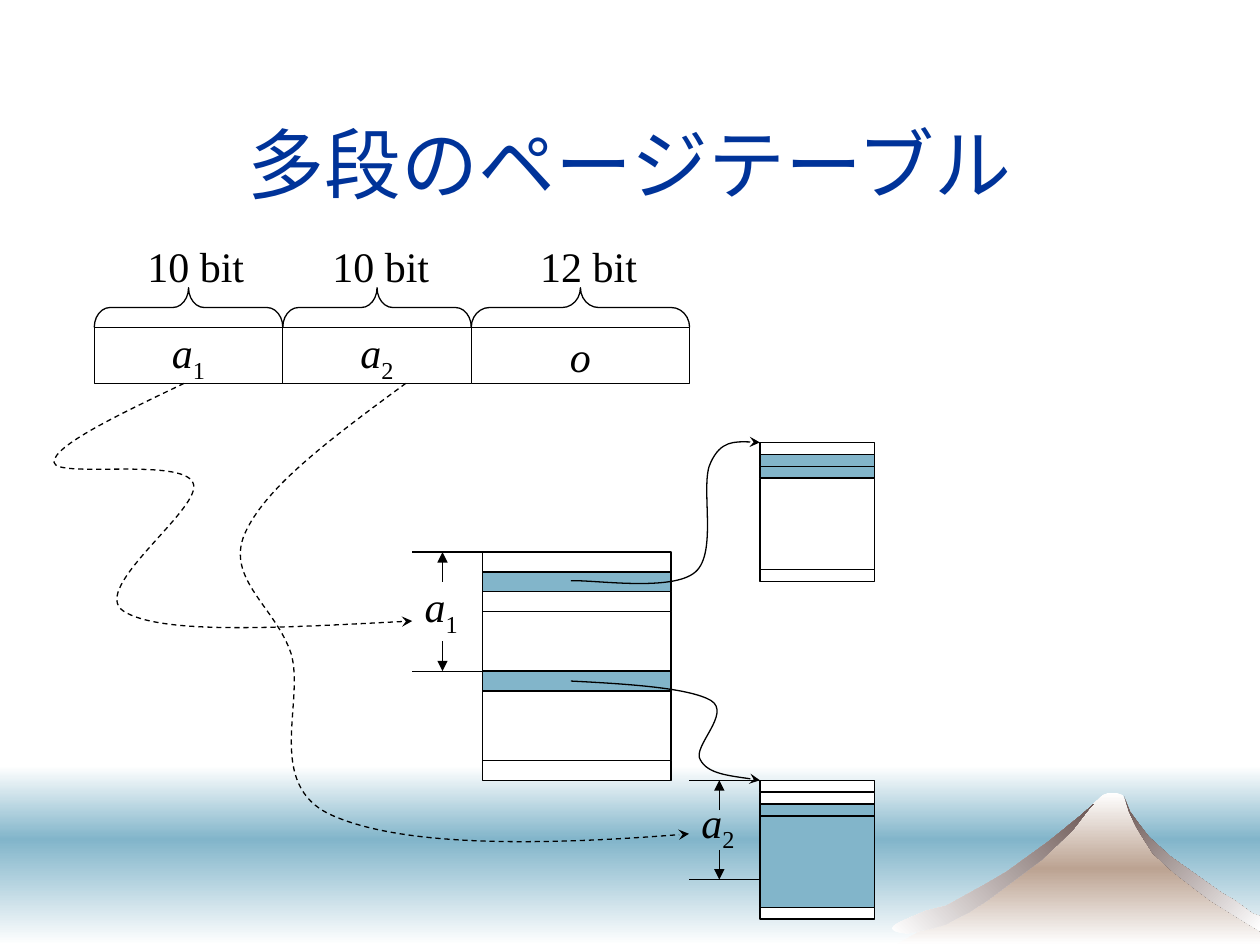
"""Build a slide on multi-level page tables."""
from lxml import etree
from pptx import Presentation
from pptx.dml.color import RGBColor
from pptx.enum.dml import MSO_LINE
from pptx.enum.shapes import MSO_CONNECTOR, MSO_SHAPE
from pptx.enum.text import MSO_ANCHOR, MSO_AUTO_SIZE, PP_ALIGN
from pptx.oxml.ns import qn
from pptx.util import Cm, Pt

RECTANGLE, BRACE = MSO_SHAPE.RECTANGLE, MSO_SHAPE.LEFT_BRACE
STRAIGHT, DASH = MSO_CONNECTOR.STRAIGHT, MSO_LINE.DASH
CENTER, LEFT, MIDDLE = PP_ALIGN.CENTER, PP_ALIGN.LEFT, MSO_ANCHOR.MIDDLE
FIT = MSO_AUTO_SIZE.SHAPE_TO_FIT_TEXT

FONT = "Times New Roman"
WHITE, BLUE, BLACK, NAVY = "FFFFFF", "82B5CA", "000000", "003399"
TAN, BROWN = "BCA392", "6B5653"

TITLE = "多段のページテーブル"
SKY = [(15.44, 1.48, [WHITE, BLUE]), (16.92, 2.13, [BLUE, WHITE])]
MOUNTAIN = [
    ([WHITE, TAN, WHITE], 90, [
        (18.06, 19.05), (20.07, 17.91), (21.34, 16.92), (22.07, 16.18), (22.23, 16.03),
        (22.35, 15.98), (22.5, 15.98), (22.63, 16.03), (22.94, 16.69), (23.42, 17.27),
        (24.59, 18.08), (25.4, 18.62), (25.4, 19.05)]),
    ([BROWN, WHITE], 45, [
        (23.24, 17.2), (23.65, 17.58), (24.08, 17.91), (24.41, 18.16), (25.15, 18.62),
        (25.4, 18.77), (25.4, 18.47), (25.25, 18.42), (24.87, 18.14), (24.64, 18.01),
        (23.6, 17.27), (23.16, 16.87), (22.96, 16.61), (22.78, 16.36), (22.66, 16.05),
        (22.76, 16.36), (22.89, 16.64), (23.04, 16.89)]),
    ([WHITE, BROWN], 315, [
        (21.13, 16.97), (20.29, 17.58), (19.86, 17.83), (19.08, 18.26), (18.67, 18.36),
        (18.29, 18.52), (18.08, 18.62), (18.01, 18.67), (17.98, 18.72), (18.03, 18.77),
        (18.14, 18.8), (18.29, 18.82), (18.54, 18.77), (18.77, 18.72), (19.05, 18.64),
        (19.53, 18.39), (19.89, 18.16), (21.01, 17.32), (21.62, 16.74), (21.95, 16.31),
        (22.05, 16.21), (21.74, 16.48)]),
]
ADDRESS_LEFT, ADDRESS_TOP, ADDRESS_HEIGHT, BRACE_HEIGHT = 1.9, 6.6, 1.14, 0.8
FIELDS = [("a", "1", 3.8, "10 bit", 2.72), ("a", "2", 3.8, "10 bit", 6.45),
          ("o", "", 4.4, "12 bit", 10.64)]
TABLES = [
    (9.73, 11.13, 3.8, [(0.4, WHITE), (0.4, BLUE), (0.4, WHITE), (3.0, WHITE), (0.4, WHITE)]),
    (15.32, 8.92, 2.31, [(0.24, WHITE), (0.24, BLUE), (0.24, BLUE), (1.84, WHITE), (0.24, WHITE)]),
    (15.32, 15.73, 2.31, [(0.24, WHITE), (0.24, WHITE), (0.24, BLUE), (1.84, BLUE), (0.24, WHITE)]),
]
SELECTED_ENTRY = (9.73, 13.53, 3.8, 0.4)
OFFSETS = [("1", 8.31, 9.73, 8.92, 11.13, 13.53, 0.6, 11.58),
           ("2", 13.89, 15.3, 14.5, 15.73, 17.73, 0.6, 15.93)]
POINTERS = [
    (None, [(11.51, 11.71), (11.94, 11.68), (13.56, 11.94), (14.02, 11.53), (14.48, 11.13),
            (14.1, 9.75), (14.33, 9.32), (14.53, 8.89), (14.91, 8.89), (15.32, 8.92)]),
    (None, [(11.51, 13.73), (12.7, 13.79), (13.89, 13.87), (14.33, 14.12), (14.76, 14.38),
            (13.94, 15.06), (14.12, 15.32), (14.27, 15.6), (14.81, 15.65), (15.32, 15.73)]),
    (DASH, [(3.71, 7.73), (2.39, 8.36), (1.07, 8.99), (1.09, 9.32), (1.12, 9.65),
            (3.66, 9.22), (3.89, 9.73), (4.14, 10.21), (1.78, 11.86), (2.49, 12.32),
            (3.23, 12.8), (5.77, 12.65), (8.31, 12.52)]),
    (DASH, [(8.18, 7.73), (6.53, 8.94), (5.33, 9.86), (4.93, 10.77), (4.55, 11.68),
            (5.56, 12.24), (5.87, 13.18), (6.15, 14.15), (5.33, 15.82), (6.68, 16.43),
            (8.03, 17.04), (10.74, 17.07), (13.89, 16.81)]),
]


def color(value):
    return RGBColor.from_string(value)


def set_line(line, arrow=None, dash=None):
    line.color.rgb = color(BLACK)
    line.width = Pt(0.75)
    if dash:
        line.dash_style = dash
    if arrow:
        properties = line._get_or_add_ln()
        etree.SubElement(properties, qn("a:tailEnd"), type=arrow)


def set_gradient(shape, colors, angle):
    shape.shadow.inherit = False
    shape.line.fill.background()
    shape.fill.gradient()
    stops = shape.fill.gradient_stops
    stops[0].color.rgb, stops[1].color.rgb = color(colors[0]), color(colors[-1])
    stops[0].position, stops[1].position = 0, 1
    shape.fill.gradient_angle = 360 - angle
    if len(colors) == 3:
        stop_list = shape._element.spPr.find(".//" + qn("a:gsLst"))
        middle = etree.Element(qn("a:gs"), pos="50000")
        etree.SubElement(middle, qn("a:srgbClr"), val=colors[1])
        stop_list.insert(1, middle)


def add_shape(slide, kind, left, top, width, height, fill=None):
    shape = slide.shapes.add_shape(kind, Cm(left), Cm(top), Cm(width), Cm(height))
    shape.shadow.inherit = False
    if fill:
        shape.fill.solid()
        shape.fill.fore_color.rgb = color(fill)
    else:
        shape.fill.background()
    set_line(shape.line)
    return shape


def write(shape, parts, size=24, ink=BLACK, align=LEFT):
    paragraph = shape.text_frame.paragraphs[0]
    paragraph.alignment = align
    for text, italic, baseline in parts:
        run = paragraph.add_run()
        run.text = text
        run.font.name, run.font.size, run.font.italic = FONT, Pt(size), italic
        run.font.color.rgb = color(ink)
        if baseline:
            run.font._element.set("baseline", str(baseline))


def symbol(letter, index):
    return [(letter, True, 0)] + ([(index, False, -25000)] if index else [])


def add_label(slide, left, top, width, height, parts):
    box = slide.shapes.add_textbox(Cm(left), Cm(top), Cm(width), Cm(height))
    box.text_frame.word_wrap = False
    box.text_frame.auto_size = FIT
    write(box, parts)


def add_line(slide, start, end, arrow=None):
    points = [Cm(value) for value in (*start, *end)]
    connector = slide.shapes.add_connector(STRAIGHT, *points)
    set_line(connector.line, arrow)
    etree.SubElement(connector._element.spPr, qn("a:effectLst"))


def add_outline(slide, points, close):
    start, *others = [(Cm(x), Cm(y)) for x, y in points]
    builder = slide.shapes.build_freeform(*start)
    builder.add_line_segments(others, close=close)
    return builder.convert_to_shape()


def add_curve(slide, points, dash):
    shape = add_outline(slide, points, False)
    outline = shape._element.spPr.find(".//" + qn("a:path"))
    segments = outline.findall(qn("a:lnTo"))
    for first in range(0, len(segments), 3):
        curve = etree.SubElement(outline, qn("a:cubicBezTo"))
        for segment in segments[first:first + 3]:
            curve.append(segment[0])
            outline.remove(segment)
    shape.shadow.inherit = False
    shape.fill.background()
    set_line(shape.line, "stealth", dash)


def main():
    presentation = Presentation()
    presentation.slide_width, presentation.slide_height = Cm(25.4), Cm(19.05)
    slide = presentation.slides.add_slide(presentation.slide_layouts[6])

    for top, height, colors in SKY:
        set_gradient(add_shape(slide, RECTANGLE, 0, top, 25.4, height), colors, 90)
    for colors, angle, points in MOUNTAIN:
        set_gradient(add_outline(slide, points, True), colors, angle)

    title = slide.shapes.add_textbox(Cm(1.9), Cm(1.7), Cm(21.6), Cm(3.18))
    title.text_frame.word_wrap = True
    title.text_frame.vertical_anchor = MIDDLE
    write(title, [(TITLE, False, 0)], 44, NAVY, CENTER)

    for left, top, width, rows in TABLES:
        for height, fill in rows:
            add_shape(slide, RECTANGLE, left, top, width, height, fill)
            top += height
    add_shape(slide, RECTANGLE, *SELECTED_ENTRY, BLUE)

    left = ADDRESS_LEFT
    for letter, index, width, bits, label_left in FIELDS:
        field = add_shape(slide, RECTANGLE, left, ADDRESS_TOP, width, ADDRESS_HEIGHT, WHITE)
        field.text_frame.word_wrap = False
        field.text_frame.vertical_anchor = MIDDLE
        write(field, symbol(letter, index), align=CENTER)
        brace = add_shape(slide, BRACE, left + (width - BRACE_HEIGHT) / 2,
                          ADDRESS_TOP - (BRACE_HEIGHT + width) / 2, BRACE_HEIGHT, width)
        brace.rotation = 90
        brace.adjustments[0] = width / 12 / BRACE_HEIGHT
        add_label(slide, label_left, 4.72, 2.46, 1.27, [(bits, False, 0)])
        left += width

    for index, left, right, middle, top, bottom, length, label_top in OFFSETS:
        add_label(slide, left, label_top, 1.17, 1.42, symbol("a", index))
        for edge, inward in ((top, length), (bottom, -length)):
            add_line(slide, (right, edge), (left, edge))
            add_line(slide, (middle, edge + inward), (middle, edge), "triangle")

    for dash, points in POINTERS:
        add_curve(slide, points, dash)
    presentation.save("out.pptx")


if __name__ == "__main__":
    main()
